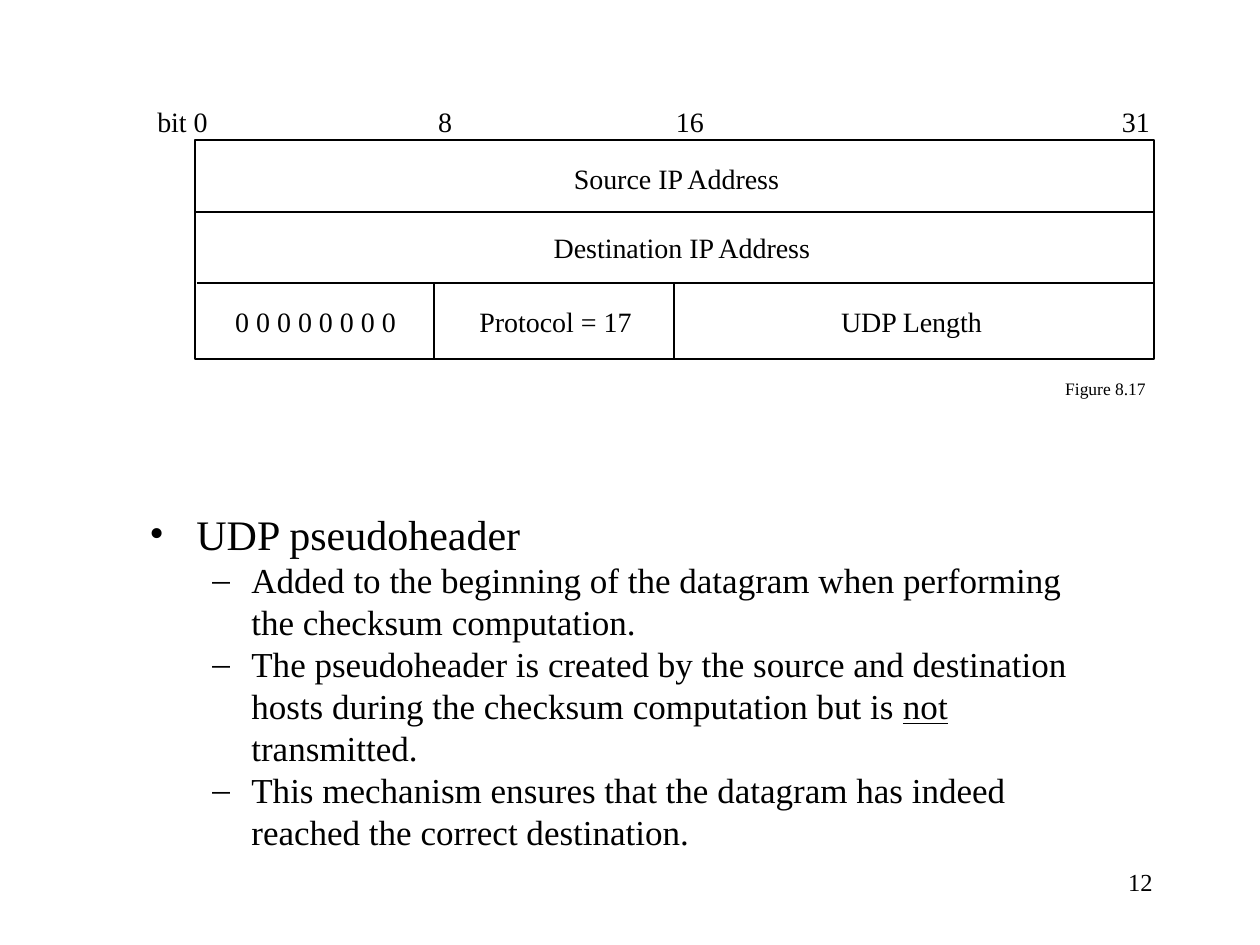
import pptx
import pptx.util
import pptx.dml.color
import pptx.enum.shapes
import pptx.enum.text
import lxml.etree

SCALE = 914400 // 126
FONT = "Times New Roman"
BLACK = "000000"
HEADER_BOX = (195, 140, 959, 219)
DIVIDERS = [
    (195, 212, 1153, 212),
    (197, 283, 1153, 283),
    (434, 360, 434, 283),
    (674, 360, 674, 283),
]
LABEL_PADDING = 10
LABELS = [
    ("bit 0", 157, 105, 51, 16),
    ("8", 438, 105, 14, 16),
    ("16", 676, 105, 28, 16),
    ("31", 1122, 105, 28, 16),
    ("Source IP Address", 574, 162, 205, 16),
    ("Destination IP Address", 554, 231, 256, 16),
    ("0 0 0 0 0 0 0 0", 235, 305, 161, 16),
    ("Protocol = 17", 479, 305, 153, 16),
    ("UDP Length", 841, 305, 141, 16),
    ("Figure 8.17", 1065, 378, 81, 10),
    ("12", 1128, 867, 25, 14),
]
BODY_BOX = (137, 502, 987, 321)
BODY = [
    (0, ["UDP pseudoheader"]),
    (1, ["Added to the beginning of the datagram when performing the checksum computation."]),
    (1, ["The pseudoheader is created by the source and destination hosts during the "
         "checksum computation but is ", "not", " transmitted."]),
    (1, ["This mechanism ensures that the datagram has indeed reached the correct destination."]),
]
UNDERLINED = "not"
LEVELS = [("•", 24, 47, 47), ("–", 20, 102, 39)]


def px(*lengths):
    return [length * SCALE for length in lengths]


def color(value):
    return pptx.dml.color.RGBColor.from_string(value)


def set_font(paragraph, size):
    paragraph.font.name = FONT
    paragraph.font.size = pptx.util.Pt(size)
    paragraph.font.color.rgb = color(BLACK)


def set_line(line):
    line.color.rgb = color(BLACK)
    line.width = pptx.util.Pt(1)


def add_label(slide, text, left, top, width, size):
    height = round(size * 1.15 * 126 / 72)
    box = px(left - LABEL_PADDING, top, width + 2 * LABEL_PADDING, height)
    frame = slide.shapes.add_textbox(*box).text_frame
    frame.margin_left = frame.margin_right = frame.margin_top = frame.margin_bottom = 0
    frame.word_wrap = False
    paragraph = frame.paragraphs[0]
    paragraph.text = text
    paragraph.alignment = pptx.enum.text.PP_ALIGN.CENTER
    set_font(paragraph, size)


def add_divider(slide, ends):
    connector = slide.shapes.add_connector(pptx.enum.shapes.MSO_CONNECTOR.STRAIGHT, *px(*ends))
    set_line(connector.line)
    properties = connector._element.spPr
    lxml.etree.SubElement(properties, pptx.oxml.ns.qn("a:effectLst"))


def add_body(slide):
    frame = slide.shapes.add_textbox(*px(*BODY_BOX)).text_frame
    frame.word_wrap = True
    for index, (level, parts) in enumerate(BODY):
        paragraph = frame.add_paragraph() if index else frame.paragraphs[0]
        bullet, size, margin, hanging = LEVELS[level]
        paragraph.level = level
        set_font(paragraph, size)
        for part in parts:
            run = paragraph.add_run()
            run.text = part
            if part == UNDERLINED:
                run.font.underline = True
        properties = paragraph._p.get_or_add_pPr()
        properties.set("marL", str(margin * SCALE))
        properties.set("indent", str(-hanging * SCALE))
        typeface = lxml.etree.Element(pptx.oxml.ns.qn("a:buFont"), typeface=FONT)
        mark = lxml.etree.Element(pptx.oxml.ns.qn("a:buChar"), char=bullet)
        properties.insert(0, typeface)
        properties.insert(1, mark)


presentation = pptx.Presentation()
presentation.slide_width, presentation.slide_height = px(1260, 945)
slide = presentation.slides.add_slide(presentation.slide_layouts[6])

header = slide.shapes.add_shape(pptx.enum.shapes.MSO_SHAPE.RECTANGLE, *px(*HEADER_BOX))
header.shadow.inherit = False
header.fill.background()
set_line(header.line)

for divider in DIVIDERS:
    add_divider(slide, divider)
for label in LABELS:
    add_label(slide, *label)
add_body(slide)

presentation.save("out.pptx")
